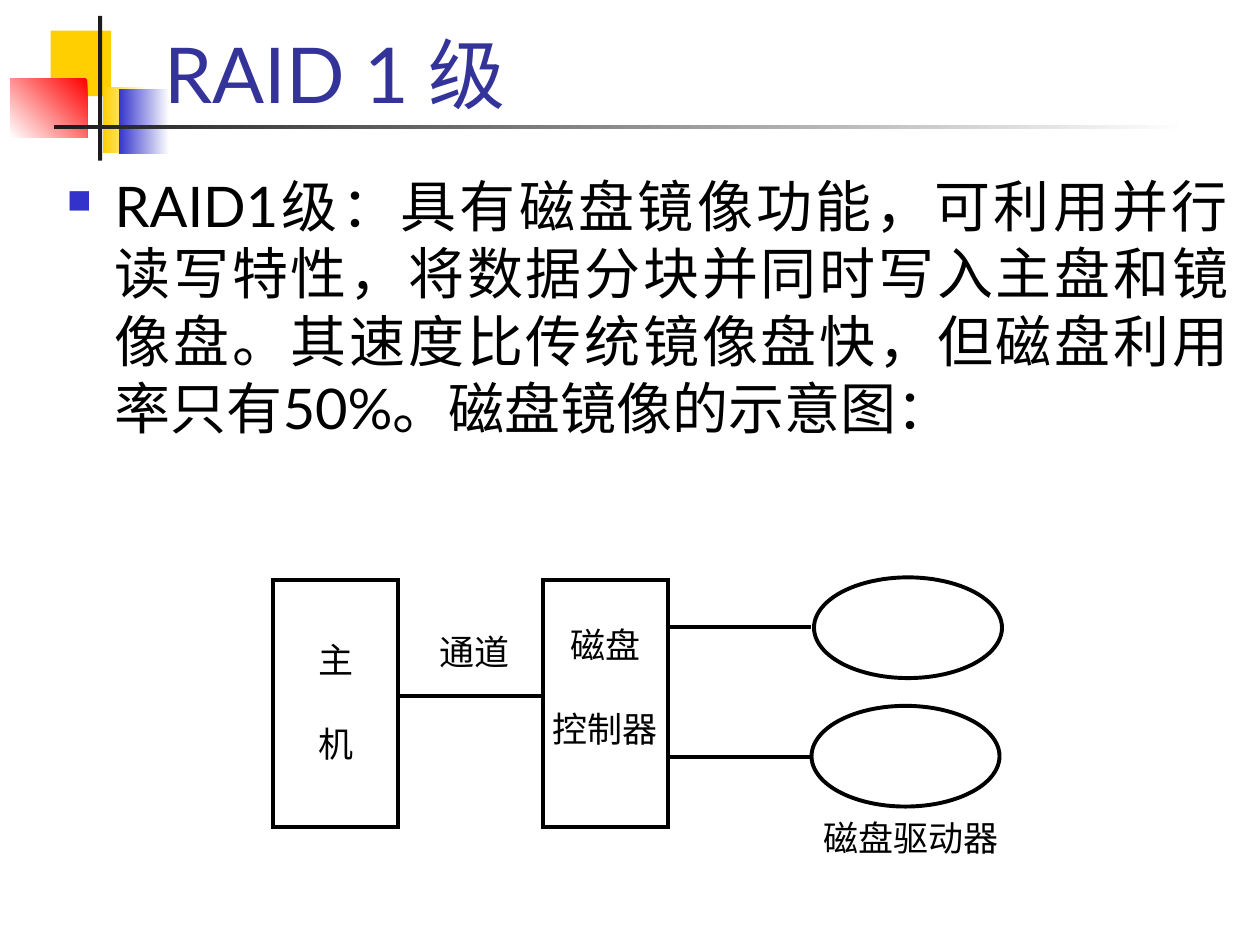
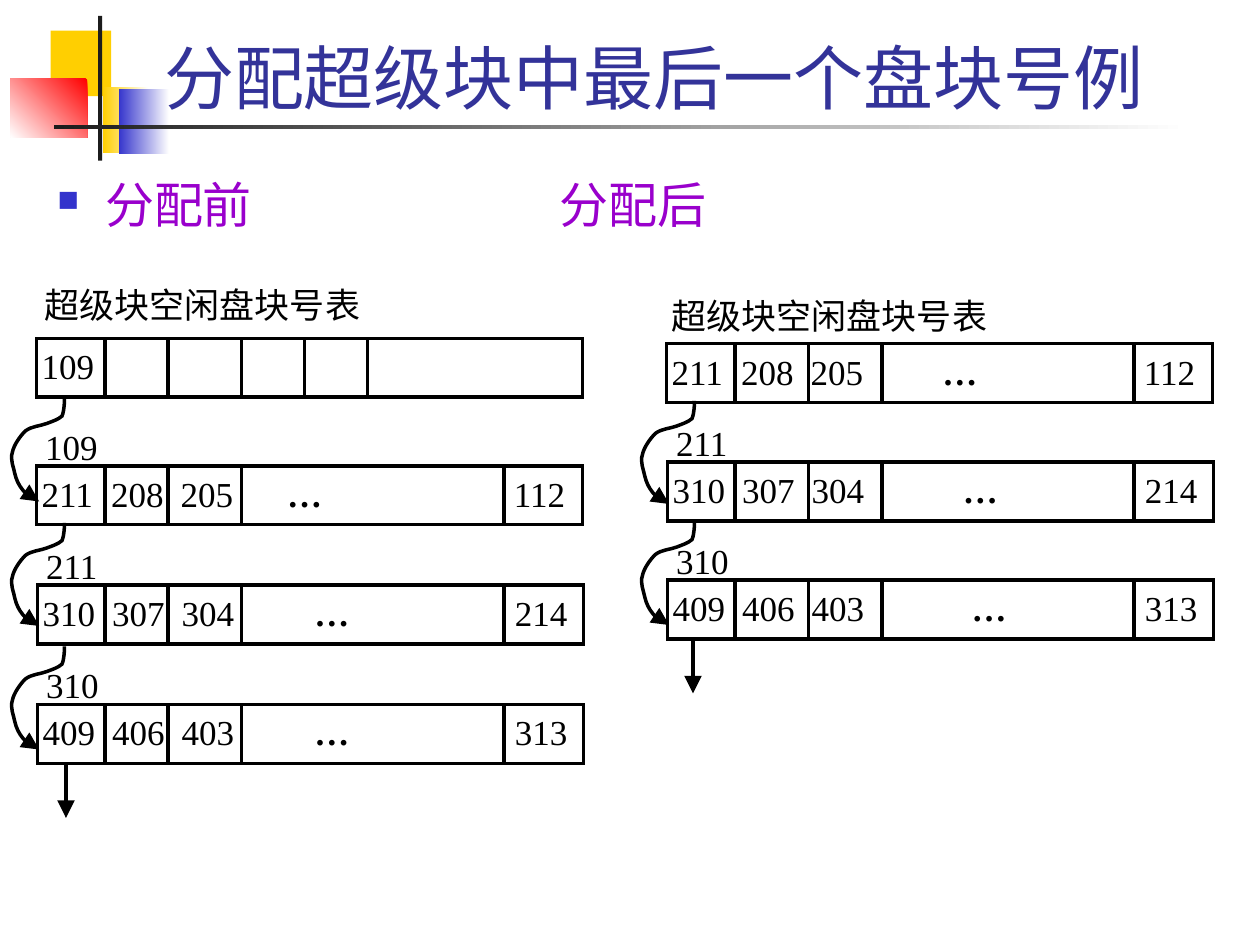
"""Build two slides: the RAID 1 diagram and the free block list example."""
from lxml import etree
from pptx import Presentation
from pptx.dml.color import RGBColor
from pptx.enum.shapes import MSO_CONNECTOR, MSO_SHAPE
from pptx.enum.text import MSO_ANCHOR, PP_ALIGN
from pptx.oxml.ns import qn
from pptx.util import Cm, Pt

RECT, OVAL = MSO_SHAPE.RECTANGLE, MSO_SHAPE.OVAL
LINE = MSO_CONNECTOR.STRAIGHT
TOP, BASE = MSO_ANCHOR.TOP, MSO_ANCHOR.BOTTOM
LEFT, MID, JUST = PP_ALIGN.LEFT, PP_ALIGN.CENTER, PP_ALIGN.JUSTIFY

HUES = {
    "gold": "FFCF01", "blue": "3333CC", "red": "FF0000", "dark": "1C1C1C",
    "white": "FFFFFF", "black": "000000", "title": "333399", "plum": "9900CC",
}
RGB = {name: RGBColor.from_string(code) for name, code in HUES.items()}

PLAIN = {"face": "Times New Roman", "size": 20, "hue": "black", "align": LEFT,
         "anchor": TOP, "pad": (0, 0), "gap": 0, "tabs": (), "bullet": False,
         "lead": None}
HEAD = PLAIN | {"face": "Lato", "size": 44, "hue": "title", "anchor": BASE,
                "pad": (0.25, 0.13)}
BODY = HEAD | {"size": 32, "hue": "black", "anchor": TOP, "align": JUST,
               "bullet": True}
BOX = PLAIN | {"align": MID, "gap": 24}
ROW = PLAIN | {"pad": (0.1, 0.13)}

BANDS = [
    ((1.02, 0.62, 1.22, 1.32), "gold", None),
    ((2.08, 1.76, 0.91, 1.32), "gold", 0),
    ((2.39, 1.8, 1.02, 1.31), "blue", 0),
    ((0.21, 1.59, 1.55, 1.18), "red", 225),
    ((1.98, 0.32, 0.08, 2.92), "dark", None),
    ((1.09, 2.52, 22.86, 0.08), "dark", 0),
]


def ink(shape, width, tip=False):
    shape.line.width = Pt(width)
    shape.line.color.rgb = RGB["black"]
    outline = shape.line._ln
    etree.SubElement(outline, qn("a:miter"), lim="800000")
    if tip:
        etree.SubElement(outline, qn("a:tailEnd"), type="triangle", w="lg", len="lg")


def add(page, kind, box, lines=(), form=PLAIN):
    place = [Cm(n) for n in box]
    if kind is None:
        shape = page.shapes.add_textbox(*place)
    else:
        shape = page.shapes.add_shape(kind, *place)
        shape.shadow.inherit = False
        shape.fill.background()
        shape.line.fill.background()
    frame = shape.text_frame
    side, top = (Cm(n) for n in form["pad"])
    looks = {"word_wrap": True, "vertical_anchor": form["anchor"],
             "margin_left": side, "margin_right": side,
             "margin_top": top, "margin_bottom": 0 if kind else top}
    for key, value in looks.items():
        setattr(frame, key, value)
    for i, line in enumerate(lines):
        para = frame.add_paragraph() if i else frame.paragraphs[0]
        props = para._p.get_or_add_pPr()
        if form["bullet"]:
            props.set("marL", str(Cm(0.96)))
            props.set("indent", str(-Cm(0.96)))
            tint = etree.SubElement(props, qn("a:buClr"))
            etree.SubElement(tint, qn("a:srgbClr"), val=HUES["blue"])
            etree.SubElement(props, qn("a:buSzPct"), val="60000")
            etree.SubElement(props, qn("a:buFont"), typeface="Wingdings", charset="2")
            etree.SubElement(props, qn("a:buChar"), char="n")
        if form["tabs"]:
            stops = etree.SubElement(props, qn("a:tabLst"))
            for stop in form["tabs"]:
                etree.SubElement(stops, qn("a:tab"), pos=str(Cm(stop)), algn="l")
        para.alignment = form["align"]
        para.line_spacing = form["lead"]
        if i:
            para.space_before = Pt(form["gap"])
        for part in line.replace("…", "|…|").split("|"):
            run = para.add_run()
            run.text = part
            face = {"name": form["face"], "size": Pt(form["size"]), "bold": part == "…"}
            for key, value in face.items():
                setattr(run.font, key, value)
            run.font.color.rgb = RGB[form["hue"]]
    return shape


deck = Presentation()
deck.slide_width, deck.slide_height = Cm(25.4), Cm(19.05)
pages = []
for title, size in (("RAID 1 级", 44), ("分配超级块中最后一个盘块号例", 40)):
    page = deck.slides.add_slide(deck.slide_layouts[6])
    for box, hue, angle in BANDS:
        band = add(page, RECT, box)
        if angle is None:
            band.fill.solid()
            band.fill.fore_color.rgb = RGB[hue]
        else:
            band.fill.gradient()
            band.fill.gradient_angle = angle
            for stop, tone in zip(band.fill.gradient_stops, (hue, "white")):
                stop.color.rgb = RGB[tone]
    add(page, None, (3.06, 0.42, 21.64, 2.1), [title], HEAD | {"size": size})
    pages.append(page)
raid, free = pages

add(raid, None, (1.1, 3.33, 23.92, 6.2), [
    "RAID1级：具有磁盘镜像功能，可利用并行读写特性，将数据分块并同时写入主盘和镜像盘。"
    "其速度比传统镜像盘快，但磁盘利用率只有50%。磁盘镜像的示意图："], BODY)
for kind, box, lines, top in (
    (RECT, (5.51, 11.7, 2.51, 4.98), ["主", "机"], 1.17),
    (RECT, (10.95, 11.7, 2.51, 4.98), ["磁盘", "控制器"], 0.87),
    (OVAL, (16.41, 11.64, 3.79, 2.03), [], 0),
    (OVAL, (16.36, 14.23, 3.79, 2.03), [], 0),
):
    ink(add(raid, kind, box, lines, BOX | {"pad": (0.05, top)}), 2.25)
add(raid, None, (8.74, 12.72, 1.65, 1.12), ["通道"], BOX)
add(raid, None, (16.19, 16.46, 4.34, 1.12), ["磁盘驱动器"], BOX)
wires = [
    (raid, 8.01, 14.03, 10.93, 14.03, 2.25, False),
    (raid, 13.42, 12.64, 16.35, 12.64, 2.25, False),
    (raid, 13.46, 15.26, 16.38, 15.26, 2.25, False),
]

add(free, None, (0.91, 3.53, 21.59, 1.37), ["分配前\t分配后"],
    BODY | {"size": 28, "hue": "plum", "align": LEFT, "lead": 0.9, "tabs": (10.12,)})

HIGH = 1.19
CUTS = (2.12, 3.39, 4.87, 10.16)
SPLITS = (14.82, 16.3, 17.78, 22.86)
SIDES = [
    (0, 1.33, (0.9, 5.72), [
        (0.74, 6.82, "109", 0, (2.12, 3.39, 4.87, 6.14, 7.41)),
        (0.74, 9.39, "211\t208\t205\t…\t112", 4.95, CUTS),
        (0.76, 11.79, "310\t307\t304\t…\t214", 5.48, CUTS),
        (0.76, 14.2, "409\t406\t403\t…\t313", 5.48, CUTS)], (8.03, 10.54, 13.03)),
    (12.7, 13.97, (13.54, 5.93), [
        (13.44, 6.93, "211\t208\t205\t…\t112", 5.46, SPLITS),
        (13.46, 9.31, "310\t307\t304\t…\t214", 5.85, SPLITS),
        (13.46, 11.69, "409\t406\t403\t…\t313", 6.03, SPLITS)], (8.08, 10.52)),
]
BEND = [
    (1.3, 0), (1.3, 0.05), (1.3, 0.25), (1.25, 0.36), (1.17, 0.43), (1.07, 0.46),
    (0.94, 0.51), (0.81, 0.56), (0.64, 0.56), (0.51, 0.66), (0.41, 0.76),
    (0.28, 0.94), (0.25, 1.09), (0.2, 1.24), (0.28, 1.4), (0.3, 1.52),
    (0.33, 1.65), (0.38, 1.75), (0.46, 1.85), (0.53, 1.93), (0.71, 2.03), (0.79, 2.08),
]

for base, drop, (left, top), rows, bends in SIDES:
    add(free, None, (left, top, 7, 0.9), ["超级块空闲盘块号表"])
    prior = None
    for left, top, text, dots, cuts in rows:
        tabs = (1.4, 2.8, dots, 9.52) if dots else ()
        bar = add(free, RECT, (left, top, 11, HIGH), [text], ROW | {"tabs": tabs})
        bar.fill.solid()
        bar.fill.fore_color.rgb = RGB["white"]
        ink(bar, 2)
        wires += [(free, cut, top, cut, top + HIGH, 2, False) for cut in cuts]
        if prior:
            add(free, None, (left + 0.17, top - 0.82, 1.14, 0.64), [prior])
        prior = text.split("\t")[0]
    for top in bends:
        spots = [(Cm(base + x), Cm(top + y)) for x, y in BEND]
        pen = free.shapes.build_freeform(*spots[0])
        pen.add_line_segments(spots[1:], close=False)
        hook = pen.convert_to_shape()
        track = hook._element.spPr.find(".//" + qn("a:path"))
        legs = track.findall(qn("a:lnTo"))
        for i in range(0, len(legs), 3):
            arc = etree.SubElement(track, qn("a:cubicBezTo"))
            for leg in legs[i:i + 3]:
                arc.append(leg[0])
                track.remove(leg)
        hook.shadow.inherit = False
        hook.fill.background()
        ink(hook, 2, True)
    foot = rows[-1][1] + HIGH
    wires.append((free, drop, foot, drop, foot + 1.1, 2, True))

for page, x1, y1, x2, y2, width, tip in wires:
    wire = page.shapes.add_connector(LINE, Cm(x1), Cm(y1), Cm(x2), Cm(y2))
    ink(wire, width, tip)
    etree.SubElement(wire._element.spPr, qn("a:effectLst"))

deck.save("out.pptx")
